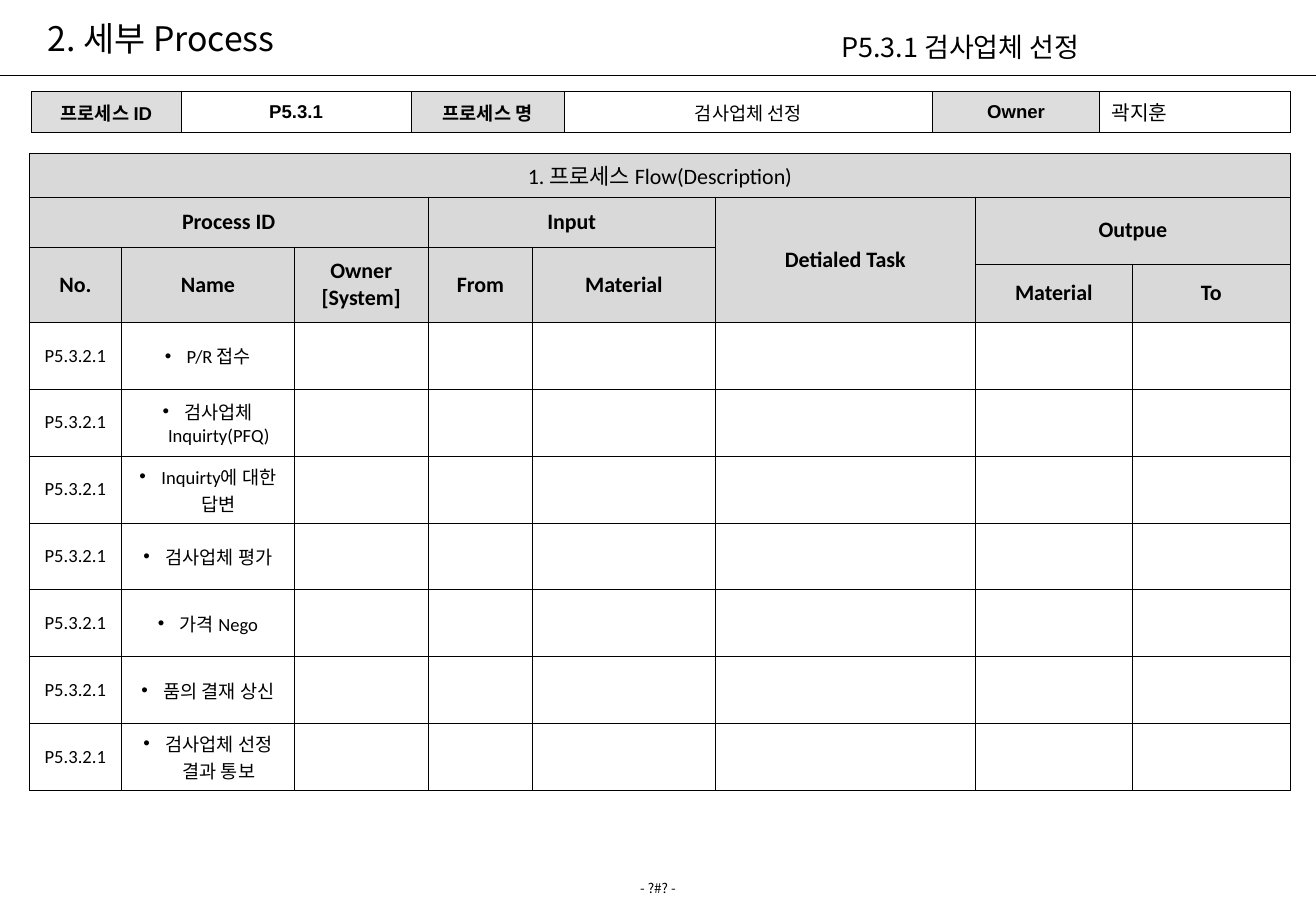
"""Build the process sheet for P5.3.1 with its summary strip and flow table."""
from lxml import etree
from pptx import Presentation, util as u
from pptx.dml.color import RGBColor
from pptx.enum import shapes, text
from pptx.oxml.ns import qn

WIDTH, HEIGHT = 10.82, 7.49
COLORS = {"ink": "000000", "paper": "FFFFFF", "label": "DDDDDD", "header": "D9D9D9"}
KOREAN, LATIN, BODY = "Noto Sans CJK KR", "Arial", "Calibri"
LEFT, CENTER = text.PP_ALIGN.LEFT, text.PP_ALIGN.CENTER
BORDER = 0.45

TITLE = "2. 세부 Process"
SUBTITLE = "P5.3.1 검사업체 선정"
PAGE_NUMBER = "- ?#? -"

SUMMARY_COLUMNS = [1.23, 1.89, 1.26, 3.03, 1.37, 1.57]
SUMMARY_ROWS = [0.34]
SUMMARY = [
    ("프로세스 ID", dict(size=11, font=LATIN, bold=True), "label"),
    ("P5.3.1", dict(size=11, font=LATIN, bold=True), "paper"),
    ("프로세스 명", dict(size=11, font=LATIN, bold=True), "label"),
    ("검사업체 선정", dict(size=11, font=KOREAN), "paper"),
    ("Owner", dict(size=11, font=LATIN, bold=True), "label"),
    ("곽지훈", dict(size=12, font=LATIN, align=LEFT), "paper"),
]

FLOW_COLUMNS = [0.76, 1.42, 1.1, 0.86, 1.5, 2.14, 1.29, 1.3]
FLOW_TITLE = "1. 프로세스 Flow(Description)"
HEADERS = [
    (1, 0, 1, 3, "Process ID"),
    (1, 3, 1, 2, "Input"),
    (1, 5, 3, 1, "Detialed Task"),
    (1, 6, 2, 2, "Outpue"),
    (2, 0, 2, 1, "No."),
    (2, 1, 2, 1, "Name"),
    (2, 2, 2, 1, "Owner\n[System]"),
    (2, 3, 2, 1, "From"),
    (2, 4, 2, 1, "Material"),
    (3, 6, 1, 1, "Material"),
    (3, 7, 1, 1, "To"),
]
STEP_ID = "P5.3.2.1"
STEPS = ["P/R 접수", "검사업체 Inquirty(PFQ)", "Inquirty에 대한 답변", "검사업체 평가",
         "가격 Nego", "품의 결재 상신", "검사업체 선정 결과 통보"]
HEADER_ROWS = [0.36, 0.41, 0.14, 0.48]
FLOW_ROWS = HEADER_ROWS + [0.55] * len(STEPS)


def write(frame, words, size, font, bold=False, align=CENTER, bullet=False):
    frame.text = words
    frame.vertical_anchor = text.MSO_ANCHOR.MIDDLE
    for para in frame.paragraphs:
        para.alignment = align
        properties = para._p.get_or_add_pPr()
        if bullet:
            properties.set("marL", str(u.Inches(0.18)))
            properties.set("indent", str(-u.Inches(0.18)))
            etree.SubElement(properties, qn("a:buFont"), typeface=LATIN)
            etree.SubElement(properties, qn("a:buChar"), char="•")
        para.font.size = u.Pt(size)
        para.font.bold = bold
        para.font.name = font
        para.font.color.rgb = RGBColor.from_string(COLORS["ink"])
        latin = properties.find(qn("a:defRPr")).find(qn("a:latin"))
        latin.addnext(latin.makeelement(qn("a:ea"), {"typeface": KOREAN}))


def add_text(page, area, words, size, align):
    box = page.shapes.add_textbox(*map(u.Inches, area))
    box.text_frame.word_wrap = True
    write(box.text_frame, words, size, KOREAN, align=align)


def paint(cell, color):
    properties = cell._tc.get_or_add_tcPr()
    for side in ("lnL", "lnR", "lnT", "lnB"):
        edge = etree.SubElement(properties, qn(f"a:{side}"), w=str(u.Pt(BORDER)))
        solid = etree.SubElement(edge, qn("a:solidFill"))
        etree.SubElement(solid, qn("a:srgbClr"), val=COLORS["ink"])
    cell.fill.solid()
    cell.fill.fore_color.rgb = RGBColor.from_string(COLORS[color])
    cell.margin_top = cell.margin_bottom = u.Inches(0.02)
    cell.vertical_anchor = text.MSO_ANCHOR.MIDDLE


def add_grid(page, left, top, columns, rows):
    area = (left, top, sum(columns), sum(rows))
    table = page.shapes.add_table(len(rows), len(columns), *map(u.Inches, area)).table
    table.first_row = table.horz_banding = False
    for column, width in zip(table.columns, columns):
        column.width = u.Inches(width)
    for row, height in zip(table.rows, rows):
        row.height = u.Inches(height)
    return table


def add_heading(page):
    title = page.shapes.title
    title.left, title.top, title.width, title.height = map(u.Inches, (0.29, 0.04, 6.84, 0.55))
    write(title.text_frame, TITLE, 20, KOREAN, align=LEFT)
    add_text(page, (6.82, 0.2, 3.55, 0.37), SUBTITLE, 16, LEFT)
    rule = page.shapes.add_connector(shapes.MSO_CONNECTOR.STRAIGHT,
                                     *map(u.Inches, (0, 0.62, WIDTH, 0.62)))
    rule.line.width = u.Pt(0.77)
    rule.line.color.rgb = RGBColor.from_string(COLORS["ink"])
    etree.SubElement(rule._element.spPr, qn("a:effectLst"))


def add_summary(page):
    table = add_grid(page, 0.26, 0.75, SUMMARY_COLUMNS, SUMMARY_ROWS)
    for cell, (words, style, color) in zip(table.iter_cells(), SUMMARY):
        paint(cell, color)
        write(cell.text_frame, words, **style)
        cell.vertical_anchor = text.MSO_ANCHOR.MIDDLE


def add_flow(page):
    table = add_grid(page, 0.24, 1.26, FLOW_COLUMNS, FLOW_ROWS)
    for index, cell in enumerate(table.iter_cells()):
        is_header = index // len(FLOW_COLUMNS) < len(HEADER_ROWS)
        paint(cell, "header" if is_header else "paper")
    table.cell(0, 0).merge(table.cell(0, len(FLOW_COLUMNS) - 1))
    write(table.cell(0, 0).text_frame, FLOW_TITLE, 13, BODY)
    for row, column, height, width, words in HEADERS:
        cell = table.cell(row, column)
        if height * width > 1:
            cell.merge(table.cell(row + height - 1, column + width - 1))
        write(cell.text_frame, words, 13, BODY, bold=True)
    for row, name in enumerate(STEPS, len(HEADER_ROWS)):
        write(table.cell(row, 0).text_frame, STEP_ID, 11, BODY)
        write(table.cell(row, 1).text_frame, name, 11, BODY, bullet=True)


def main():
    deck = Presentation()
    deck.slide_width, deck.slide_height = u.Inches(WIDTH), u.Inches(HEIGHT)
    page = deck.slides.add_slide(deck.slide_layouts[5])
    add_heading(page)
    add_summary(page)
    add_flow(page)
    add_text(page, (0, 7.18, WIDTH, 0.24), PAGE_NUMBER, 8, CENTER)
    deck.save("out.pptx")


if __name__ == "__main__":
    main()
